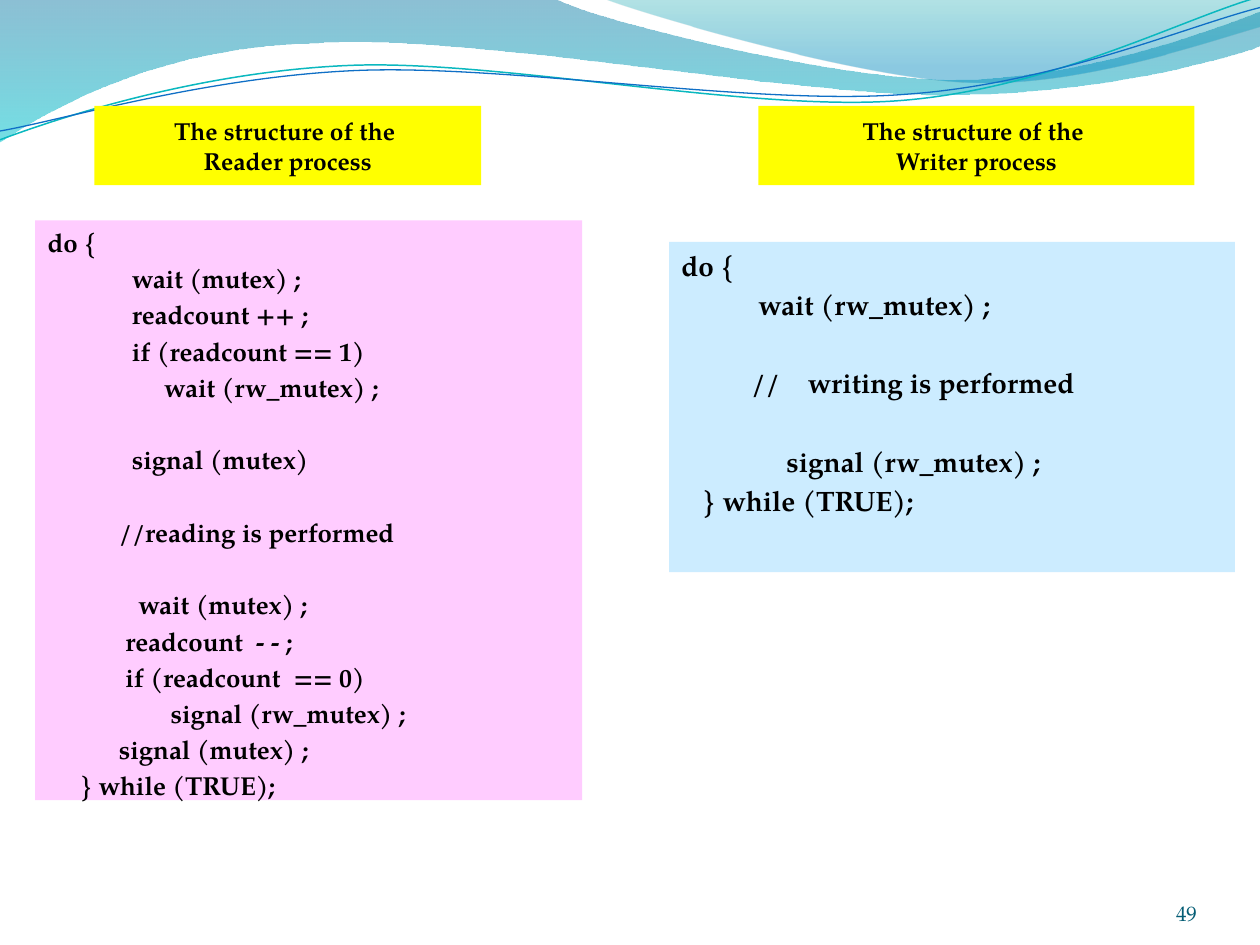
from lxml import etree
from pptx import Presentation
from pptx.dml.color import RGBColor
from pptx.enum.shapes import MSO_SHAPE
from pptx.enum.text import MSO_ANCHOR, PP_ALIGN
from pptx.oxml.ns import qn
from pptx.util import Inches, Pt

RECTANGLE = MSO_SHAPE.RECTANGLE
TOP, MIDDLE, BOTTOM = MSO_ANCHOR.TOP, MSO_ANCHOR.MIDDLE, MSO_ANCHOR.BOTTOM
LEFT, CENTER, RIGHT = PP_ALIGN.LEFT, PP_ALIGN.CENTER, PP_ALIGN.RIGHT
BLANK_LAYOUT = 6

# Outlines: a start point, then corners (x, y) or curves (two controls, end).
LEFT_WAVE = [
    (0, 0), (4.4, -0.01),
    (4.76, 0.17, 6.64, 0.63, 7.58, 0.63), (8.53, 0.63, 9.58, 0.26, 10, 0.09),
    (10.01, 0.36),
    (9.83, 0.44, 8.7, 0.76, 7.46, 0.75), (6.22, 0.75, 3.82, 0.28, 2.57, 0.34),
    (1.29, 0.36, 0.46, 0.83, -0.01, 1.13),
]
RIGHT_WAVE = [
    (4.79, -0.01),
    (5.09, 0.11, 6.82, 0.62, 7.69, 0.65), (8.56, 0.69, 9.61, 0.32, 10, 0.21),
    (10, 0),
]
TEAL_LINE = [
    (0, 1.11),
    (0.48, 0.93, 1.58, 0.57, 2.77, 0.52), (3.95, 0.47, 5.93, 0.89, 7.13, 0.8),
    (8.33, 0.71, 9.38, 0.15, 9.98, -0.02),
]
BLUE_LINE = [
    (0, 1.04),
    (0.47, 0.96, 1.64, 0.61, 2.83, 0.56), (4.03, 0.51, 5.97, 0.84, 7.17, 0.75),
    (8.36, 0.67, 9.41, 0.21, 10, 0.06),
]

# Code lines: indent in characters, text, empty lines above.
READER_CODE = [
    (0, "do {", 0),
    (13, "wait (mutex) ;", 0),
    (13, "readcount ++ ;", 0),
    (13, "if (readcount == 1)", 0),
    (18, "wait (rw_mutex) ;", 0),
    (13, "signal (mutex)", 1),
    (11, "//reading is performed", 1),
    (14, "wait (mutex) ;", 1),
    (12, "readcount  - - ;", 0),
    (12, "if (readcount  == 0)", 0),
    (19, "signal (rw_mutex) ;", 0),
    (11, "signal (mutex) ;", 0),
    (5, "} while (TRUE);", 0),
]
WRITER_CODE = [
    (0, "do {", 0),
    (11, "wait (rw_mutex) ;", 0),
    (10, "//    writing is performed", 1),
    (15, "signal (rw_mutex) ;", 1),
    (3, "} while (TRUE);", 0),
]


def color(value):
    return RGBColor.from_string(value)


class SlideWriter:
    font = "TeX Gyre Pagella"
    text_color = "000000"
    space_width = 0.25  # of the text size
    line_pitch = 1.4  # of the text size, with the paragraph gap
    paragraph_gap = 0.2

    def __init__(self, page):
        self.page = page

    def freeform(self, outline, close):
        """Build the outline from its end points, then bend its curved segments."""
        ends = [(Inches(step[-2]), Inches(step[-1])) for step in outline]
        builder = self.page.shapes.build_freeform(*ends[0])
        builder.add_line_segments(ends[1:], close=close)
        shape = builder.convert_to_shape()
        shape.shadow.inherit = False
        segments = list(shape.element.spPr.iter(qn("a:lnTo")))
        for segment, step in zip(segments, outline[1:]):
            if len(step) == 2:
                continue
            segment.clear()
            curve = etree.Element(qn("a:cubicBezTo"))
            for x, y in zip(step[::2], step[1::2]):
                etree.SubElement(curve, qn("a:pt"), x=str(Inches(x) - shape.left),
                                 y=str(Inches(y) - shape.top))
            segment.getparent().replace(segment, curve)
        return shape

    def wave(self, outline, stops):
        """Draw a filled wave; stops are (position, color, opacity percent)."""
        shape = self.freeform(outline, True)
        shape.line.fill.background()
        shape.fill.gradient()
        shape.fill.gradient_angle = 270
        for stop, (position, value, _) in zip(shape.fill.gradient_stops, stops):
            stop.position = position
            stop.color.rgb = color(value)
        fills = shape.element.spPr.iter(qn("a:srgbClr"))
        for element, (_, _, opacity) in zip(fills, stops):
            etree.SubElement(element, qn("a:alpha"), val=str(opacity * 1000))

    def curve(self, outline, value, width):
        shape = self.freeform(outline, False)
        shape.fill.background()
        shape.line.color.rgb = color(value)
        shape.line.width = Pt(width)

    def panel(self, left, top, width, height, fill, anchor):
        box = self.page.shapes.add_shape(
            RECTANGLE, Inches(left), Inches(top), Inches(width), Inches(height))
        box.shadow.inherit = False
        box.fill.solid()
        box.fill.fore_color.rgb = color(fill)
        box.line.fill.background()
        box.text_frame.word_wrap = True
        box.text_frame.vertical_anchor = anchor
        return box.text_frame

    def paragraph(self, frame, index, text, size, align, bold=True, value=text_color):
        para = frame.add_paragraph() if index else frame.paragraphs[0]
        para.text = text
        para.alignment = align
        para.font.name = self.font
        para.font.size = Pt(size)
        para.font.bold = bold
        para.font.color.rgb = color(value)
        return para

    def heading(self, left, width, lines):
        frame = self.panel(left, 0.84, width, 0.63, "FFFF00", MIDDLE)
        for index, line in enumerate(lines):
            self.paragraph(frame, index, line, 14, CENTER)

    def code(self, left, top, width, height, fill, size, lines):
        frame = self.panel(left, top, width, height, fill, TOP)
        for index, (indent, text, gaps) in enumerate(lines):
            para = self.paragraph(frame, index, text, size, LEFT)
            if index:
                para.space_before = Pt(size * (self.paragraph_gap + gaps * self.line_pitch))
            properties = para._p.get_or_add_pPr()
            properties.set("marL", str(Pt(indent * size * self.space_width)))
            properties.set("indent", "0")

    def page_number(self, text):
        box = self.page.shapes.add_textbox(
            Inches(8.67), Inches(6.95), Inches(0.83), Inches(0.4))
        frame = box.text_frame
        frame.word_wrap = True
        frame.vertical_anchor = BOTTOM
        frame.margin_left = frame.margin_right = 0
        frame.margin_top = frame.margin_bottom = 0
        self.paragraph(frame, 0, text, 12, RIGHT, False, "045D75")


def main():
    deck = Presentation()
    deck.slide_width, deck.slide_height = Inches(10), Inches(7.5)
    writer = SlideWriter(deck.slides.add_slide(deck.slide_layouts[BLANK_LAYOUT]))

    writer.wave(LEFT_WAVE, [(0, "0074A1", 45), (1, "00C6CF", 55)])
    writer.wave(RIGHT_WAVE, [(0, "00A1A9", 30), (0.8, "008BBF", 45)])
    writer.curve(TEAL_LINE, "0AB8BF", 0.85)
    writer.curve(BLUE_LINE, "0F6FC6", 0.75)

    writer.code(0.28, 1.75, 4.34, 4.6, "FFCCFF", 14.8, READER_CODE)
    writer.code(5.31, 1.92, 4.49, 2.62, "CCECFF", 16, WRITER_CODE)
    for left, width, role in [(6.02, 3.46, "Writer"), (0.75, 3.07, "Reader")]:
        writer.heading(left, width, ["The structure of the ", f"{role} process"])
    writer.page_number("49")
    deck.save("out.pptx")


if __name__ == "__main__":
    main()
